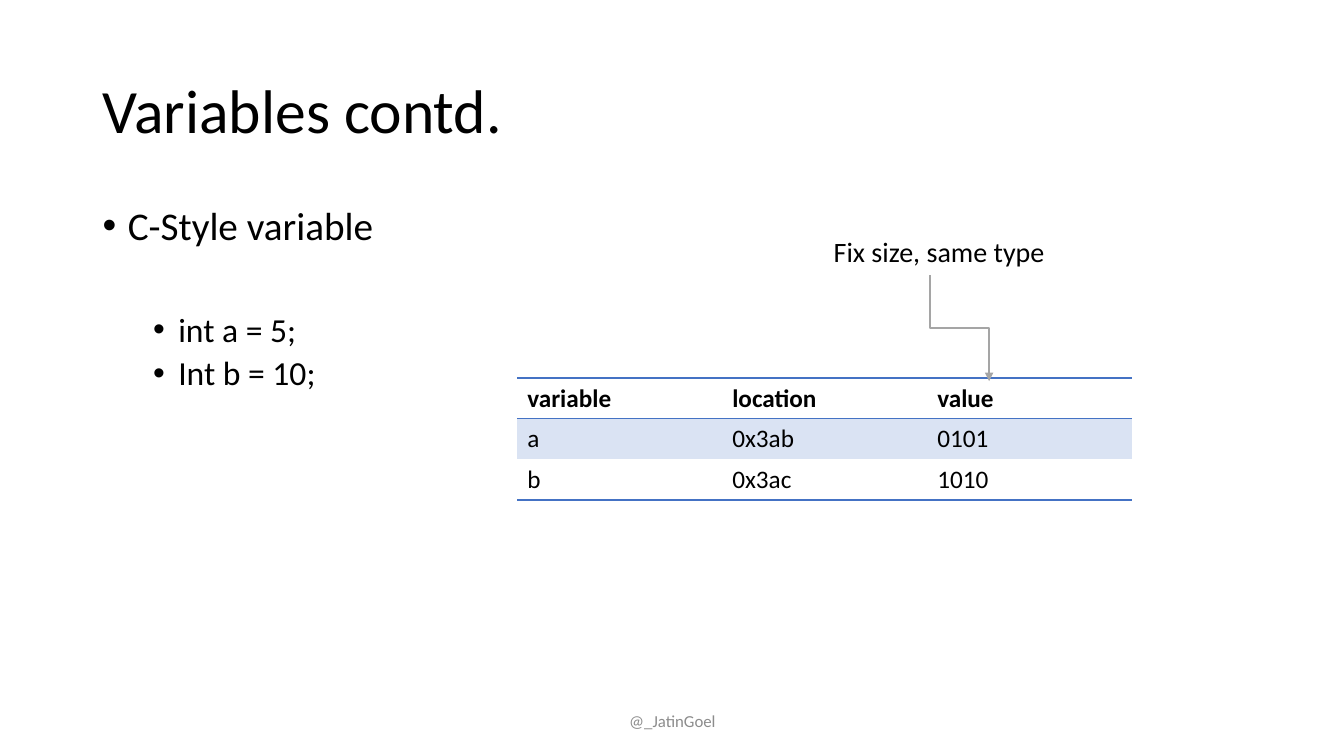
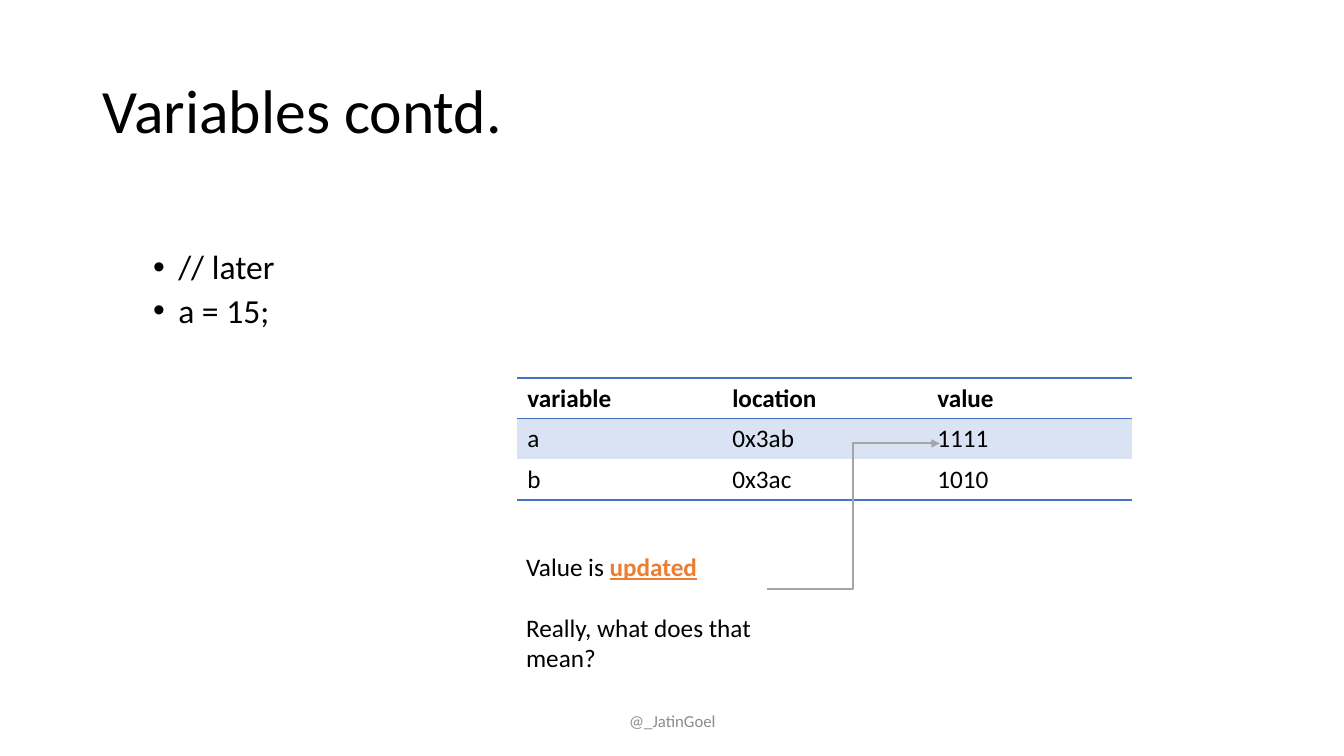
from pptx import Presentation
from pptx.dml.color import RGBColor
from pptx.enum.shapes import MSO_CONNECTOR as CONN
from pptx.enum.text import MSO_ANCHOR as ANCHOR, MSO_AUTO_SIZE as AUTOSIZE, PP_ALIGN as ALIGN
from pptx.oxml.ns import qn
from pptx.util import Inches, Pt
from lxml.etree import SubElement

BLACK = RGBColor(0x00, 0x00, 0x00)
GREY = RGBColor(0x8C, 0x8C, 0x8C)
ARROW = RGBColor(0xA5, 0xA5, 0xA5)
BLUE = RGBColor(0x44, 0x72, 0xC4)
BAND = RGBColor(0xDA, 0xE3, 0xF3)
ORANGE = RGBColor(0xED, 0x7D, 0x31)
FONT = "Calibri"
TITLE_ONLY = 5


def add_run(p, text, size=18, color=BLACK, bold=False, underline=False):
    """Append a formatted run to a paragraph."""
    r = p.add_run()
    r.text = text
    f = r.font
    f.name, f.size, f.bold, f.underline = FONT, Pt(size), bold, underline
    f.color.rgb = color


def add_para(tf, text, align=ALIGN.LEFT, before=0, spacing=1.0, indent=None, **fmt):
    """Write the next paragraph of a frame, bulleted when an indent is given."""
    p = tf.paragraphs[0]
    if p.runs:
        p = tf.add_paragraph()
    if indent is not None:
        pPr = p._p.get_or_add_pPr()
        pPr.set("marL", str(Inches(indent)))
        pPr.set("indent", str(Inches(-0.25)))
        SubElement(pPr, qn("a:buFont")).set("typeface", "Arial")
        SubElement(pPr, qn("a:buChar")).set("char", "•")
    p.alignment, p.line_spacing, p.space_before = align, spacing, Pt(before)
    add_run(p, text, **fmt)
    return p


def add_box(s, x, y, w, h, wrap=True, anchor=ANCHOR.TOP):
    """Add an empty text box and return its frame."""
    tf = s.shapes.add_textbox(Inches(x), Inches(y), Inches(w), Inches(h)).text_frame
    tf.word_wrap, tf.vertical_anchor = wrap, anchor
    return tf


def add_base(prs, title):
    """Add a slide with its title and footer."""
    s = prs.slides.add_slide(prs.slide_layouts[TITLE_ONLY])
    sp = s.shapes.title
    sp.left, sp.top, sp.width, sp.height = map(Inches, (0.92, 0.4, 11.5, 1.45))
    tf = sp.text_frame
    tf.auto_size, tf.vertical_anchor = AUTOSIZE.NONE, ANCHOR.MIDDLE
    add_para(tf, title, spacing=0.9, size=44)
    footer = add_box(s, 4.42, 6.95, 4.5, 0.4, anchor=ANCHOR.MIDDLE)
    add_para(footer, "@_JatinGoel", align=ALIGN.CENTER, size=12, color=GREY)
    return s


def add_code(tf, lines, before):
    """Add second-level bullets, the first one after the given space."""
    for i, line in enumerate(lines):
        add_para(tf, line, before=5 if i else before, spacing=0.9, indent=0.75, size=24)


def set_borders(cell, top, bottom):
    """Rule a cell above and below where asked and clear its other sides."""
    tcPr = cell._tc.get_or_add_tcPr()
    for side, on in (("L", False), ("R", False), ("T", top), ("B", bottom)):
        ln = SubElement(tcPr, qn(f"a:ln{side}"), w=str(Pt(1)))
        if on:
            fill = SubElement(ln, qn("a:solidFill"))
            SubElement(fill, qn("a:srgbClr"), val=str(BLUE))
        else:
            SubElement(ln, qn("a:noFill"))


def add_memory(s, x, y, value_a):
    """Add the table of variables, locations and values."""
    rows = [("variable", "location", "value"),
            ("a", "0x3ab", value_a),
            ("b", "0x3ac", "1010")]
    tbl = s.shapes.add_table(3, 3, Inches(x), Inches(y), Inches(6.1), Inches(1.21)).table
    tbl.horz_banding = tbl.first_row = False
    for i, row in enumerate(rows):
        for j, text in enumerate(row):
            cell = tbl.cell(i, j)
            set_borders(cell, top=i < 2, bottom=i != 1)
            if i == 1:
                cell.fill.solid()
                cell.fill.fore_color.rgb = BAND
            else:
                cell.fill.background()
            add_para(cell.text_frame, text, bold=i == 0)


def add_elbow(s, x1, y1, x2, y2, down=False):
    """Add an elbow arrow that leaves sideways, or downwards if asked."""
    if down:
        cx, cy, dx, dy = (x1 + x2) / 2, (y1 + y2) / 2, (x2 - x1) / 2, (y2 - y1) / 2
        x1, y1, x2, y2 = cx + dy, cy - dx, cx - dy, cy + dx
    c = s.shapes.add_connector(CONN.ELBOW, *map(Inches, (x1, y1, x2, y2)))
    c.line.color.rgb, c.line.width = ARROW, Pt(1.5)
    SubElement(c.line._get_or_add_ln(), qn("a:tailEnd"), type="triangle")
    spPr = c._element.spPr
    SubElement(spPr, qn("a:effectLst"))
    if down:
        spPr.find(qn("a:xfrm")).set("rot", str(270 * 60000))


def add_declared(prs):
    """Build the slide that declares two variables."""
    s = add_base(prs, "Variables contd.")
    tf = add_box(s, 0.92, 2, 11.5, 4.76)
    add_para(tf, "C-Style variable", spacing=0.9, indent=0.25, size=28)
    add_code(tf, ["int a = 5;", "Int b = 10;"], before=46)
    add_memory(s, 5.13, 3.75, "0101")
    add_elbow(s, 9.22, 2.73, 9.81, 3.78, down=True)
    add_para(add_box(s, 8.17, 2.28, 2.31, 0.44, wrap=False), "Fix size, same type", size=20)


def add_updated(prs):
    """Build the slide that changes a value."""
    s = add_base(prs, "Variables contd.")
    add_code(add_box(s, 0.92, 2.44, 11.5, 4.32), ["// later", "a = 15;"], before=0)
    add_memory(s, 5.13, 3.75, "1111")
    add_elbow(s, 7.61, 5.84, 9.32, 4.4)
    tf = add_box(s, 5.12, 5.42, 2.5, 1.3)
    p = add_para(tf, "Value is ")
    add_run(p, "updated", color=ORANGE, bold=True, underline=True)
    add_para(tf, "Really, what does that mean?", before=22)


def main():
    """Build and save the presentation."""
    prs = Presentation()
    prs.slide_width, prs.slide_height = Inches(13.33), Inches(7.5)
    add_declared(prs)
    add_updated(prs)
    prs.save("out.pptx")


if __name__ == "__main__":
    main()
